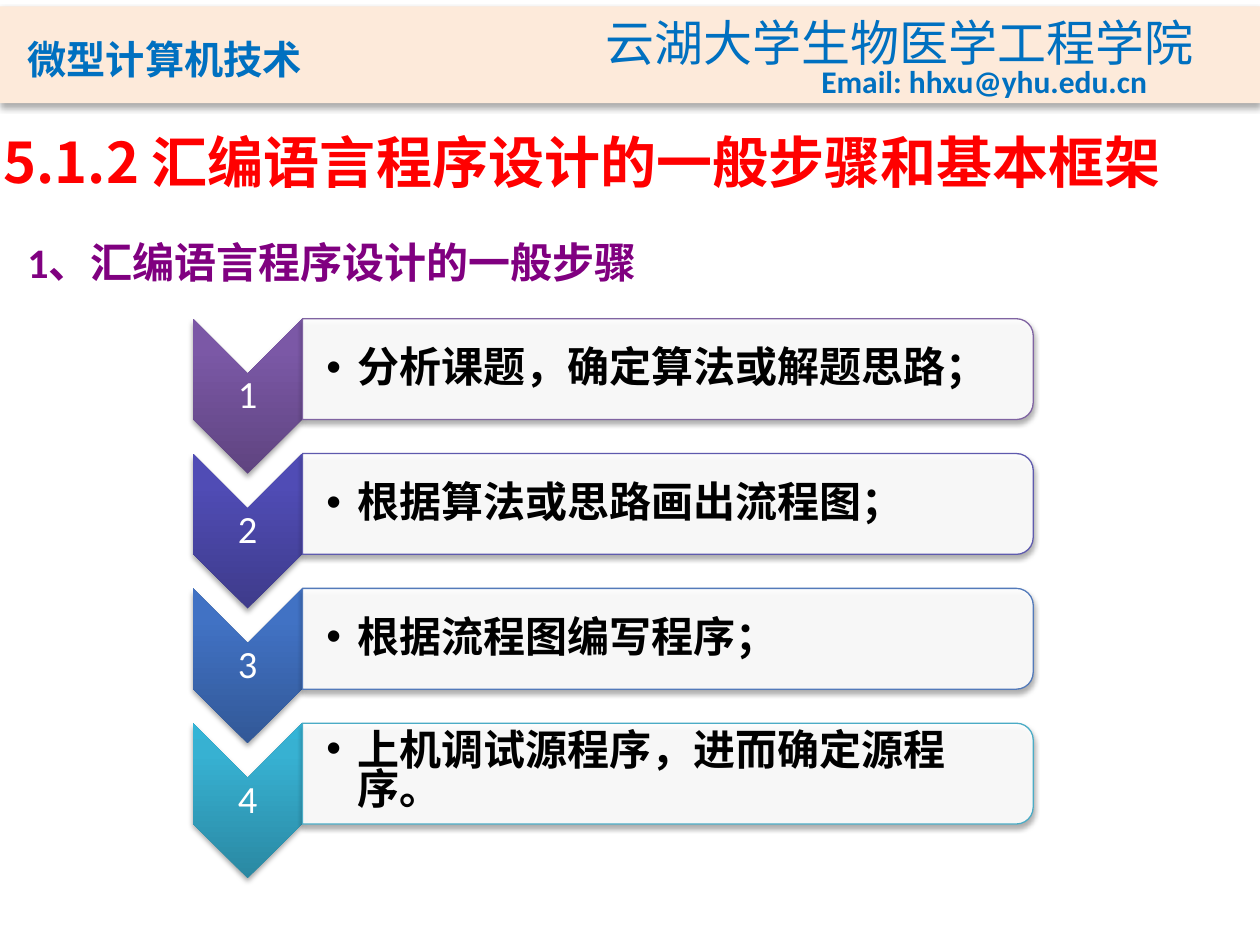
from dataclasses import dataclass
from lxml.etree import SubElement
from pptx import Presentation
from pptx.dml.color import RGBColor
from pptx.enum.shapes import MSO_SHAPE
from pptx.enum.text import MSO_ANCHOR, PP_ALIGN
from pptx.oxml.ns import qn
from pptx.util import Inches, Pt


@dataclass(frozen=True)
class Theme:
    band: str = "FDEADA"
    header: str = "0070C0"
    title: str = "FF0000"
    section: str = "800080"
    white: str = "FFFFFF"
    ink: str = "000000"
    latin: str = "Calibri"
    song: str = "Noto Sans CJK SC"
    course: str = "Noto Sans CJK JP"
    title_size: int = 32
    header_size: int = 28
    body_size: int = 24
    number_size: int = 22
    email_size: int = 18


theme = Theme()

COURSE = "微型计算机技术"
SCHOOL = "云湖大学生物医学工程学院"
EMAIL = "Email: hhxu@yhu.edu.cn"
TITLE = "5.1.2 汇编语言程序设计的一般步骤和基本框架"
SECTION = "1、汇编语言程序设计的一般步骤"
STEPS = [
    ("分析课题，确定算法或解题思路；", "8064A2", ("5F4480", "7B58A6", "7C57A8"), 0.9, 0.02),
    ("根据算法或思路画出流程图；", "5F5BAE", ("3E3B8B", "504CB5", "4F4BB8"), 0.9, 0.02),
    ("根据流程图编写程序；", "537ABA", ("325897", "4172C4", "3F72C7"), 0.9, 0.02),
    ("上机调试源程序，进而确定源程序。", "4BACC6", ("2A88A2", "37B1D2", "34B4D6"), 0.77, 0.4),
]
STOPS = (0, 80, 100)
STEP_TOP, STEP_PITCH = 2.53, 1.07
CHEVRON_LEFT, CHEVRON_WIDTH, CHEVRON_HEIGHT = 1.53, 0.87, 1.23
PANEL_WIDTH, PANEL_HEIGHT = 5.8, 0.8
TIGHT = (0.02, 0.02, 0.02, 0.02)

deck = Presentation()
deck.slide_width, deck.slide_height = Inches(10), Inches(7.5)
page = deck.slides.add_slide(deck.slide_layouts[6])


def add(parent, tag, **attributes):
    return SubElement(parent, qn(tag), {key: str(value) for key, value in attributes.items()})


def add_text(text, left, top, width, height, font, size, color, bold=True, anchor=MSO_ANCHOR.TOP,
             insets=(0.1, 0.05, 0.1, 0.05), align=PP_ALIGN.LEFT, spacing=None):
    box = page.shapes.add_textbox(*map(Inches, (left, top, width, height)))
    frame = box.text_frame
    frame.word_wrap, frame.vertical_anchor = True, anchor
    frame.margin_left, frame.margin_top, frame.margin_right, frame.margin_bottom = map(Inches, insets)
    frame.text = text
    para = frame.paragraphs[0]
    para.alignment = align
    if spacing:
        para.line_spacing = spacing
    span = para.runs[0]
    span.font.name, span.font.size, span.font.bold = font, Pt(size), bold
    span.font.color.rgb = RGBColor.from_string(color)
    add(span.font._element, "a:ea", typeface=font)
    return para


def add_shadow(shape, opacity, blur, distance):
    effects = add(shape._element.spPr, "a:effectLst")
    shadow = add(effects, "a:outerShdw", blurRad=Pt(blur), dist=Pt(distance), dir=5400000, rotWithShape=0)
    add(add(shadow, "a:srgbClr", val=theme.ink), "a:alpha", val=opacity * 1000)


def add_turned(kind, left, top, width, height):
    middle, center = left + width / 2, top + height / 2
    shape = page.shapes.add_shape(
        kind, *map(Inches, (middle - height / 2, center - width / 2, height, width)))
    shape.rotation = 90
    return shape


def add_chevron(top, colors):
    chevron = add_turned(MSO_SHAPE.CHEVRON, CHEVRON_LEFT, top, CHEVRON_WIDTH, CHEVRON_HEIGHT)
    chevron.line.fill.background()
    gradient = add(chevron._element.spPr, "a:gradFill", rotWithShape=0)
    stops = add(gradient, "a:gsLst")
    for position, color in zip(STOPS, colors):
        add(add(stops, "a:gs", pos=position * 1000), "a:srgbClr", val=color)
    add(gradient, "a:lin", ang=16200000, scaled=0)
    chevron._element.spPr.find(qn("a:ln")).addprevious(gradient)
    add_shadow(chevron, 35, 3.1, 1.8)


def add_panel(top, color):
    panel = add_turned(MSO_SHAPE.ROUND_2_SAME_RECTANGLE, CHEVRON_LEFT + CHEVRON_WIDTH, top,
                       PANEL_WIDTH, PANEL_HEIGHT)
    panel.fill.solid()
    panel.fill.fore_color.rgb = RGBColor.from_string(theme.white)
    add(panel._element.spPr.find(qn("a:solidFill"))[0], "a:alpha", val=90000)
    panel.line.color.rgb = RGBColor.from_string(color)
    panel.line.width = Pt(0.75)
    add_shadow(panel, 35, 3.1, 1.8)


band = page.shapes.add_shape(MSO_SHAPE.RECTANGLE, 0, Inches(0.05), deck.slide_width, Inches(0.77))
band.fill.solid()
band.fill.fore_color.rgb = RGBColor.from_string(theme.band)
band.line.fill.background()
add_shadow(band, 32, 3.5, 2.2)

course = add_text(COURSE, 0.12, 0.16, 3.39, 0.56, theme.course, theme.header_size, theme.header,
                  anchor=MSO_ANCHOR.BOTTOM)
course.runs[0].font._element.set("cap", "small")
add_text(SCHOOL, 4.71, 0.05, 5.1, 0.57, theme.song, theme.header_size, theme.header, bold=False)
add_text(EMAIL, 6.42, 0.44, 3.2, 0.4, theme.latin, theme.email_size, theme.header)
add_text(TITLE, -0.07, 0.82, 9.9, 0.92, theme.song, theme.title_size, theme.title,
         anchor=MSO_ANCHOR.MIDDLE, insets=(0.1, 0, 0.1, 0.05), spacing=1.1)
add_text(SECTION, 0.12, 1.88, 5.1, 0.45, theme.latin, theme.body_size, theme.section,
         insets=(0.1, 0, 0.1, 0.05))

for index, (step, outline, colors, spacing, right_inset) in enumerate(STEPS):
    top = STEP_TOP + index * STEP_PITCH
    add_chevron(top, colors)
    add_text(str(index + 1), CHEVRON_LEFT, top + 0.43, CHEVRON_WIDTH, 0.37, theme.latin,
             theme.number_size, theme.white, bold=False, anchor=MSO_ANCHOR.MIDDLE, insets=TIGHT,
             align=PP_ALIGN.CENTER, spacing=0.9)
    add_panel(top, outline)
    para = add_text(step, CHEVRON_LEFT + CHEVRON_WIDTH, top + 0.04, 5.76, 0.72, theme.song,
                    theme.body_size, theme.ink, anchor=MSO_ANCHOR.MIDDLE,
                    insets=(0.19, 0.02, right_inset, 0.02), spacing=spacing)
    settings = para._p.get_or_add_pPr()
    settings.set("marL", str(Inches(0.25)))
    settings.set("indent", str(-Inches(0.25)))
    add(settings, "a:buFont", typeface="Arial")
    add(settings, "a:buChar", char="•")

deck.save("out.pptx")
